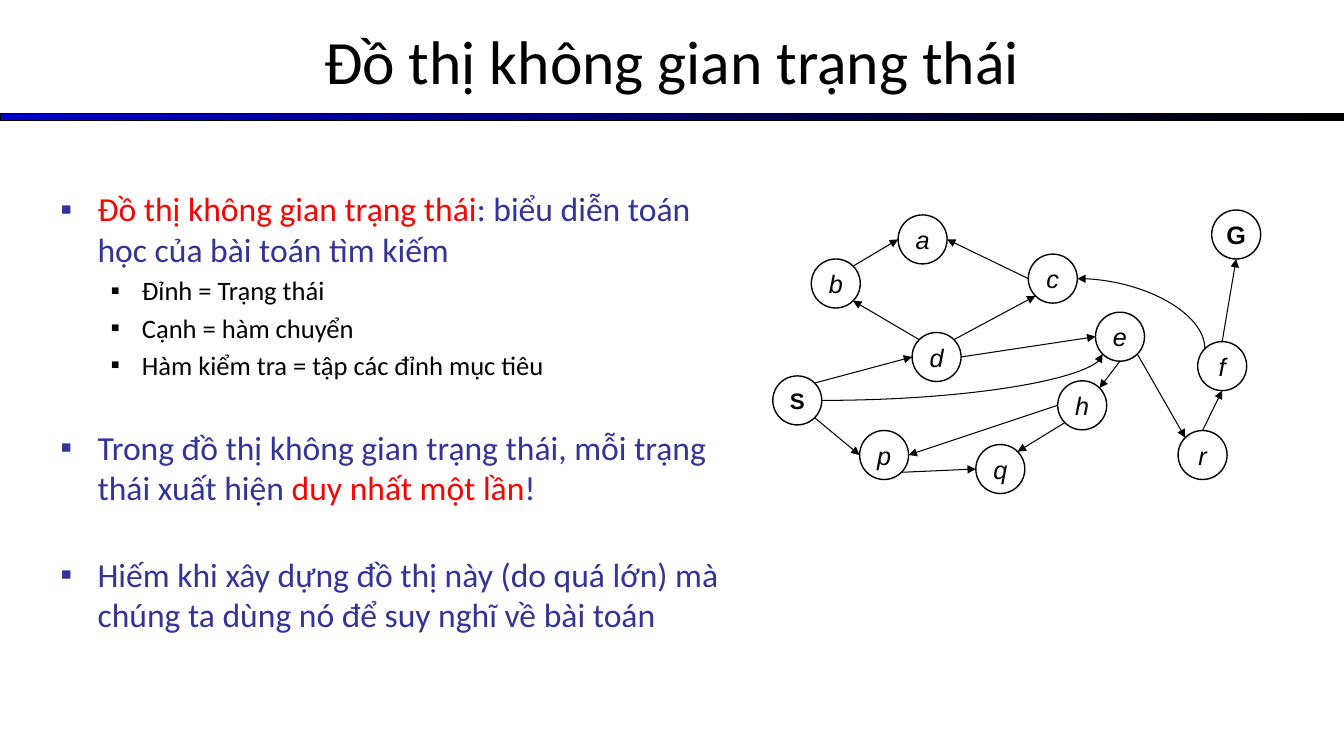
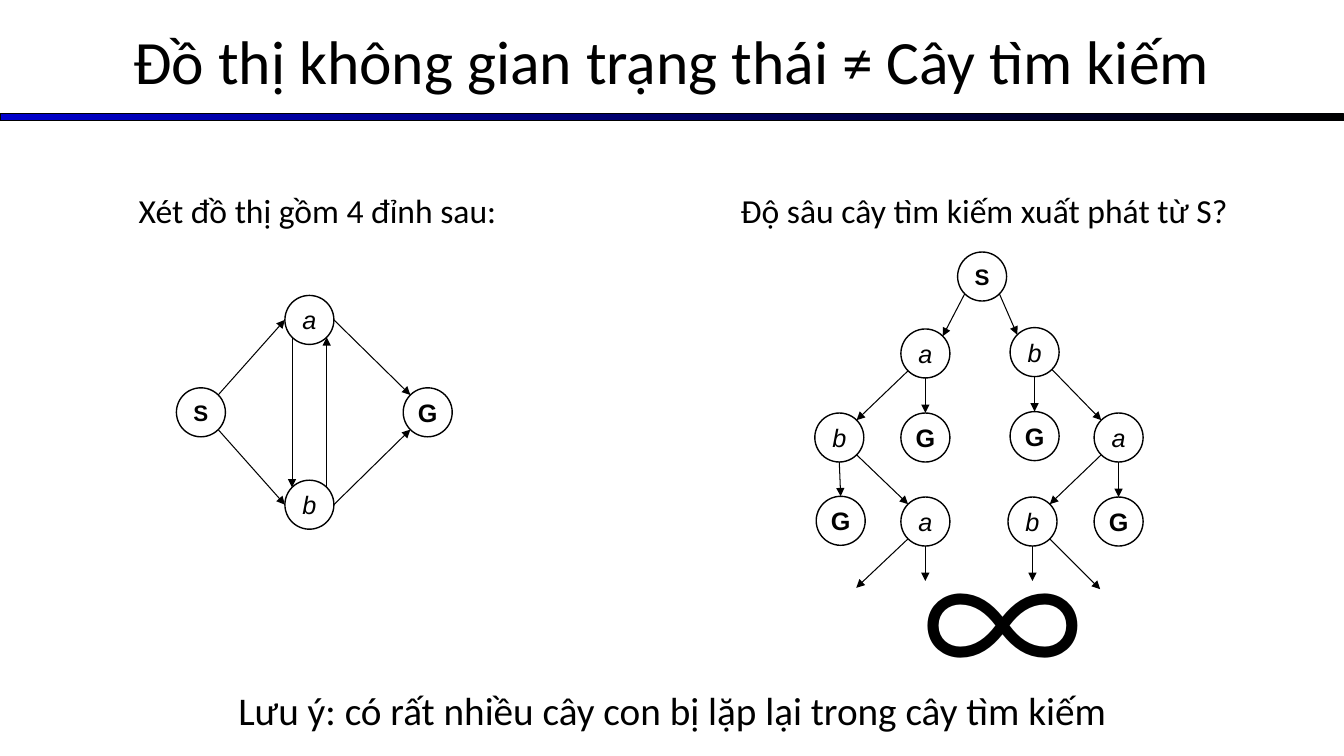
from dataclasses import dataclass
from math import cos, pi

from lxml.etree import SubElement
from pptx import Presentation
from pptx.dml.color import RGBColor
from pptx.enum.shapes import MSO_CONNECTOR as Link, MSO_SHAPE as Preset
from pptx.enum.text import MSO_ANCHOR as Anchor, PP_ALIGN as Align
from pptx.oxml.ns import qn
from pptx.util import Pt

WIDTH, HEIGHT = 960, 540
BLACK, RED, INDIGO, BLUE = "000000", "FF0000", "333399", "0000CC"
TEXT_FONT, NODE_FONT = "Calibri", "Arial"
NODE = 35
DIAGONAL = cos(pi / 4)
COMPASS = {
    "n": (0, -1), "s": (0, 1), "w": (-1, 0), "e": (1, 0),
    "nw": (-DIAGONAL, -DIAGONAL), "ne": (DIAGONAL, -DIAGONAL),
    "sw": (-DIAGONAL, DIAGONAL), "se": (DIAGONAL, DIAGONAL),
}
Point = tuple[float, float]


@dataclass(frozen=True)
class Node:
    """A circle; its label is the last letter of its key."""
    key: str
    left: float
    top: float

    @property
    def label(self) -> str:
        return self.key[-1]

    def side(self, heading: str) -> Point:
        dx, dy = COMPASS[heading]
        return (self.left + NODE / 2 * (1 + dx), self.top + NODE / 2 * (1 + dy))


@dataclass(frozen=True)
class Edge:
    start: str
    leaving: str
    end: str
    entering: str


@dataclass(frozen=True)
class Bullet:
    runs: tuple[tuple[str, str], ...]
    level: int = 0
    before: float = 0


@dataclass(frozen=True)
class BulletStyle:
    size: float
    indent: float
    hanging: float
    color: str


BULLET_STYLES = (BulletStyle(24, 26.64, 26.64, INDIGO), BulletStyle(19, 58.32, 22.32, BLACK))

POINTS = (
    Bullet((("Đồ thị không gian trạng thái", RED),
            (": biểu diễn toán học của bài toán tìm kiếm", INDIGO))),
    Bullet((("Đỉnh = Trạng thái", BLACK),), 1, 3.8),
    Bullet((("Cạnh = hàm chuyển", BLACK),), 1, 3.8),
    Bullet((("Hàm kiểm tra = tập các đỉnh mục tiêu", BLACK),), 1, 3.8),
    Bullet((("Trong đồ thị không gian trạng thái, mỗi trạng thái xuất hiện ", INDIGO),
            ("duy nhất một lần", RED), ("!", INDIGO)), 0, 33),
    Bullet((("Hiếm khi xây dựng đồ thị này (do quá lớn) mà chúng ta dùng nó "
             "để suy nghĩ về bài toán", INDIGO),), 0, 33),
)

STATE_NODES = (
    Node("S", 552, 268.5), Node("G", 865.5, 150), Node("d", 651.5, 237.5),
    Node("b", 579.5, 185), Node("p", 614, 307.5), Node("q", 697, 317.5),
    Node("c", 734.5, 181.5), Node("e", 782.5, 223), Node("h", 755.5, 272),
    Node("a", 641.5, 153.5), Node("f", 855.5, 244), Node("r", 841.5, 307.5),
)
STATE_EDGES = (
    Edge("S", "se", "p", "w"), Edge("p", "se", "q", "w"), Edge("h", "sw", "q", "ne"),
    Edge("h", "w", "p", "e"), Edge("e", "s", "h", "ne"), Edge("e", "se", "r", "nw"),
    Edge("r", "n", "f", "s"), Edge("f", "n", "G", "s"), Edge("S", "ne", "d", "w"),
    Edge("d", "nw", "b", "se"), Edge("b", "ne", "a", "w"), Edge("c", "w", "a", "e"),
    Edge("d", "ne", "c", "sw"), Edge("d", "e", "e", "w"),
)

SMALL_NODES = (
    Node("S", 126, 277), Node("G", 288, 277), Node("b", 203.5, 343), Node("a", 203.5, 211),
)
SMALL_EDGES = (
    Edge("S", "se", "b", "w"), Edge("a", "sw", "b", "nw"), Edge("b", "ne", "a", "se"),
    Edge("a", "e", "G", "nw"), Edge("b", "e", "G", "sw"), Edge("S", "ne", "a", "w"),
)

# Each key spells the way from the root.
TREE_NODES = (
    Node("S", 684, 180), Node("Sa", 643.5, 235), Node("Sb", 721.5, 234),
    Node("SaG", 643.5, 295), Node("SbG", 721.5, 294), Node("Sba", 781.5, 295),
    Node("Sab", 582, 295), Node("SabG", 583, 354.5), Node("Saba", 643.5, 355),
    Node("SbaG", 781.5, 355), Node("Sbab", 720, 355),
)
TREE_EDGES = (
    Edge("S", "sw", "Sa", "ne"), Edge("S", "se", "Sb", "nw"), Edge("Sa", "sw", "Sab", "ne"),
    Edge("Sa", "s", "SaG", "n"), Edge("Sb", "s", "SbG", "n"), Edge("Sb", "se", "Sba", "nw"),
    Edge("Sab", "s", "SabG", "n"), Edge("Sab", "se", "Saba", "nw"),
    Edge("Sba", "sw", "Sbab", "ne"), Edge("Sba", "s", "SbaG", "n"),
)
OPEN_ENDS = (("Saba", "sw"), ("Saba", "s"), ("Sbab", "s"), ("Sbab", "se"))
OPEN_STEPS = {"sw": (-37, 35), "s": (0, 25), "se": (36, 36)}


def rgb(color: str) -> RGBColor:
    return RGBColor.from_string(color)


def style_font(font, size: float, color: str = BLACK, name: str = TEXT_FONT) -> None:
    font.size, font.name = Pt(size), name
    font.color.rgb = rgb(color)


def add_slide(deck, heading: str):
    """Add a slide with the shared band and title."""
    slide = deck.slides.add_slide(deck.slide_layouts[5])
    title = slide.shapes.title
    title.left, title.top, title.width, title.height = Pt(0), Pt(-2), Pt(WIDTH), Pt(90)
    title.text_frame.text = heading
    title.text_frame.vertical_anchor = Anchor.MIDDLE
    paragraph = title.text_frame.paragraphs[0]
    paragraph.alignment = Align.CENTER
    style_font(paragraph.font, 44)

    band = slide.shapes.add_shape(Preset.RECTANGLE, Pt(0), Pt(81.4), Pt(WIDTH), Pt(5))
    band.shadow.inherit = False
    band.fill.gradient()
    band.fill.gradient_angle = 0
    for stop, color in zip(band.fill.gradient_stops, (BLUE, BLACK)):
        stop.color.rgb = rgb(color)
    band.line.color.rgb = rgb(BLACK)
    band.line.width = Pt(0.75)
    return slide


def add_text(slide, text: str, left: float, top: float, width: float, height: float,
             size: float, name: str = TEXT_FONT, align: Align = Align.LEFT,
             wrap: bool = True) -> None:
    frame = slide.shapes.add_textbox(Pt(left), Pt(top), Pt(width), Pt(height)).text_frame
    frame.word_wrap = wrap
    frame.text = text
    paragraph = frame.paragraphs[0]
    paragraph.alignment = align
    style_font(paragraph.font, size, name=name)


def add_bullets(slide, bullets: tuple[Bullet, ...]) -> None:
    frame = slide.shapes.add_textbox(Pt(36), Pt(131), Pt(498), Pt(356)).text_frame
    frame.word_wrap = True
    for index, bullet in enumerate(bullets):
        paragraph = frame.add_paragraph() if index else frame.paragraphs[0]
        style = BULLET_STYLES[bullet.level]
        paragraph.level = bullet.level
        if bullet.before:
            paragraph.space_before = Pt(bullet.before)
        properties = paragraph._p.get_or_add_pPr()
        properties.set("marL", str(Pt(style.indent)))
        properties.set("indent", str(-Pt(style.hanging)))
        SubElement(SubElement(properties, qn("a:buClr")), qn("a:srgbClr"), val=style.color)
        SubElement(properties, qn("a:buFont"), typeface="Arial")
        SubElement(properties, qn("a:buChar"), char="▪")
        paragraph.font.size, paragraph.font.name = Pt(style.size), TEXT_FONT
        for text, color in bullet.runs:
            run = paragraph.add_run()
            run.text = text
            run.font.color.rgb = rgb(color)


def add_node(slide, node: Node) -> None:
    circle = slide.shapes.add_shape(
        Preset.FLOWCHART_CONNECTOR, Pt(node.left), Pt(node.top), Pt(NODE), Pt(NODE))
    circle.shadow.inherit = False
    circle.fill.background()
    circle.line.color.rgb = rgb(BLACK)
    circle.line.width = Pt(1)
    frame = circle.text_frame
    frame.margin_left = frame.margin_right = frame.margin_top = frame.margin_bottom = 0
    frame.word_wrap = False
    frame.vertical_anchor = Anchor.MIDDLE
    frame.text = node.label
    paragraph = frame.paragraphs[0]
    paragraph.alignment = Align.CENTER
    style_font(paragraph.font, 16 if node.label == "S" else 18, name=NODE_FONT)
    paragraph.font.bold = node.label.isupper()
    paragraph.font.italic = node.label.islower()


def add_arrow(slide, start: Point, end: Point, kind: Link = Link.STRAIGHT,
              arrow_end: str = "a:tailEnd"):
    arrow = slide.shapes.add_connector(kind, *(Pt(value) for value in start + end))
    arrow.line.color.rgb = rgb(BLACK)
    arrow.line.width = Pt(0.75)
    SubElement(arrow.line._get_or_add_ln(), qn(arrow_end), type="triangle", w="med", len="med")
    SubElement(arrow._element.spPr, qn("a:effectLst"))
    return arrow


def add_curve(slide, start: Point, end: Point, arrow_end: str) -> None:
    """Draw a quarter bend that leaves start level and meets end upright."""
    curve = add_arrow(slide, start, end, Link.CURVE, arrow_end)
    curve._element.spPr.find(qn("a:prstGeom")).set("prst", "curvedConnector2")


def add_graph(slide, nodes: tuple[Node, ...], edges: tuple[Edge, ...]) -> dict[str, Node]:
    by_key = {node.key: node for node in nodes}
    for node in nodes:
        add_node(slide, node)
    for edge in edges:
        add_arrow(slide, by_key[edge.start].side(edge.leaving),
                  by_key[edge.end].side(edge.entering))
    return by_key


def build_state_space(deck) -> None:
    slide = add_slide(deck, "Đồ thị không gian trạng thái")
    add_bullets(slide, POINTS)
    states = add_graph(slide, STATE_NODES, STATE_EDGES)
    add_curve(slide, states["c"].side("e"), states["f"].side("nw"), "a:headEnd")
    add_curve(slide, states["S"].side("e"), states["e"].side("sw"), "a:tailEnd")


def build_search_tree(deck) -> None:
    slide = add_slide(deck, "Đồ thị không gian trạng thái ≠ Cây tìm kiếm")
    add_text(slide, "Xét đồ thị gồm 4 đỉnh sau:", 92, 132, 306, 36, 24)
    add_graph(slide, SMALL_NODES, SMALL_EDGES)
    add_text(slide, "Độ sâu cây tìm kiếm xuất phát từ S?", 522, 132, 402, 36, 24)
    tree = add_graph(slide, TREE_NODES, TREE_EDGES)
    for key, heading in OPEN_ENDS:
        x, y = tree[key].side(heading)
        dx, dy = OPEN_STEPS[heading]
        add_arrow(slide, (x, y), (x + dx, y + dy))
    add_text(slide, "∞", 652, 372, 97, 147, 115, "Noto Sans CJK JP", wrap=False)
    add_text(slide, "Lưu ý: có rất nhiều cây con bị lặp lại trong cây tìm kiếm",
             0, 487, WIDTH, 41, 28, align=Align.CENTER)


def main() -> None:
    deck = Presentation()
    deck.slide_width, deck.slide_height = Pt(WIDTH), Pt(HEIGHT)
    build_state_space(deck)
    build_search_tree(deck)
    deck.save("out.pptx")


if __name__ == "__main__":
    main()
